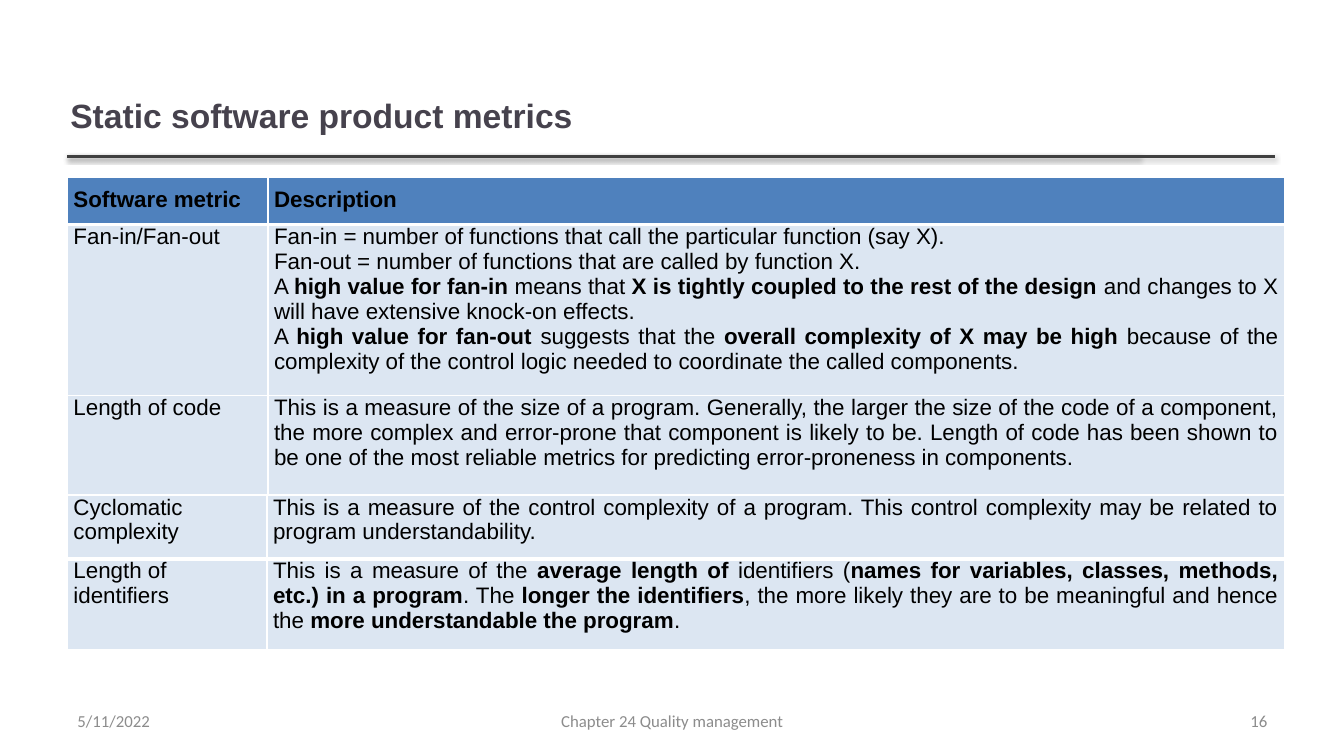
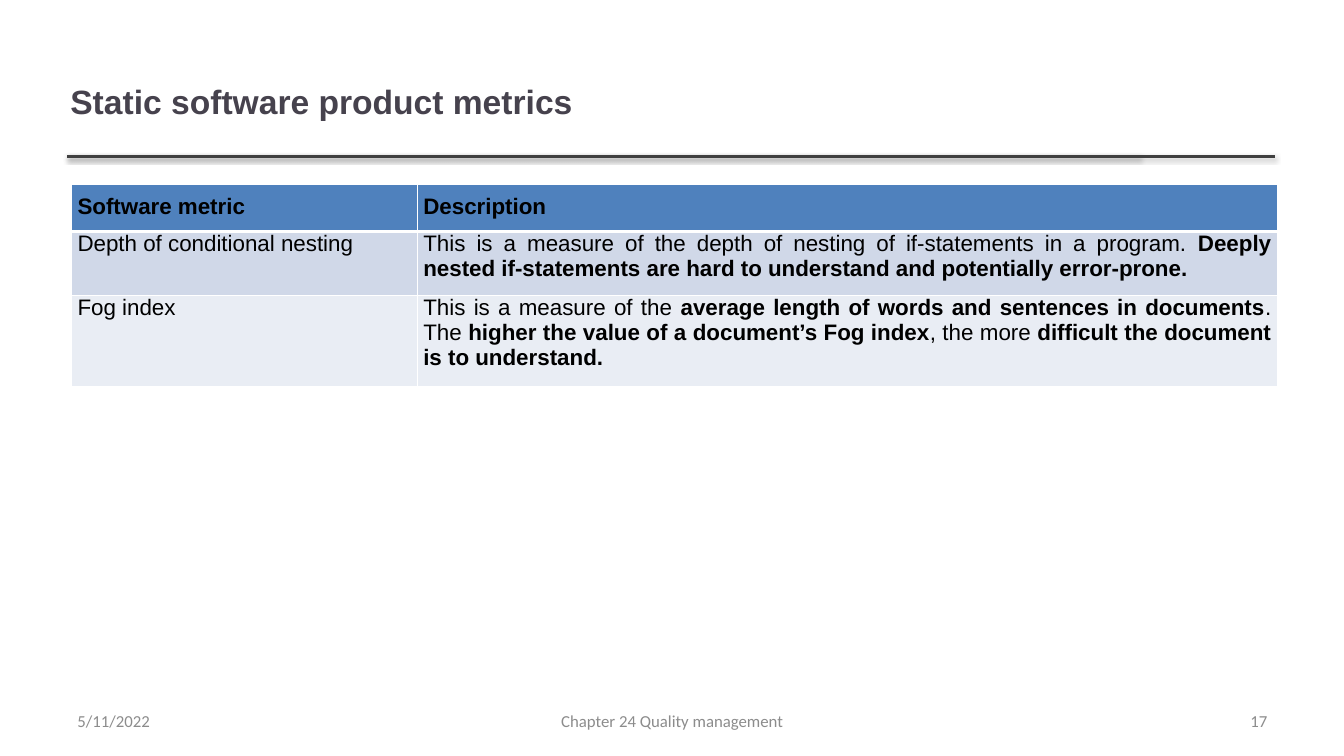
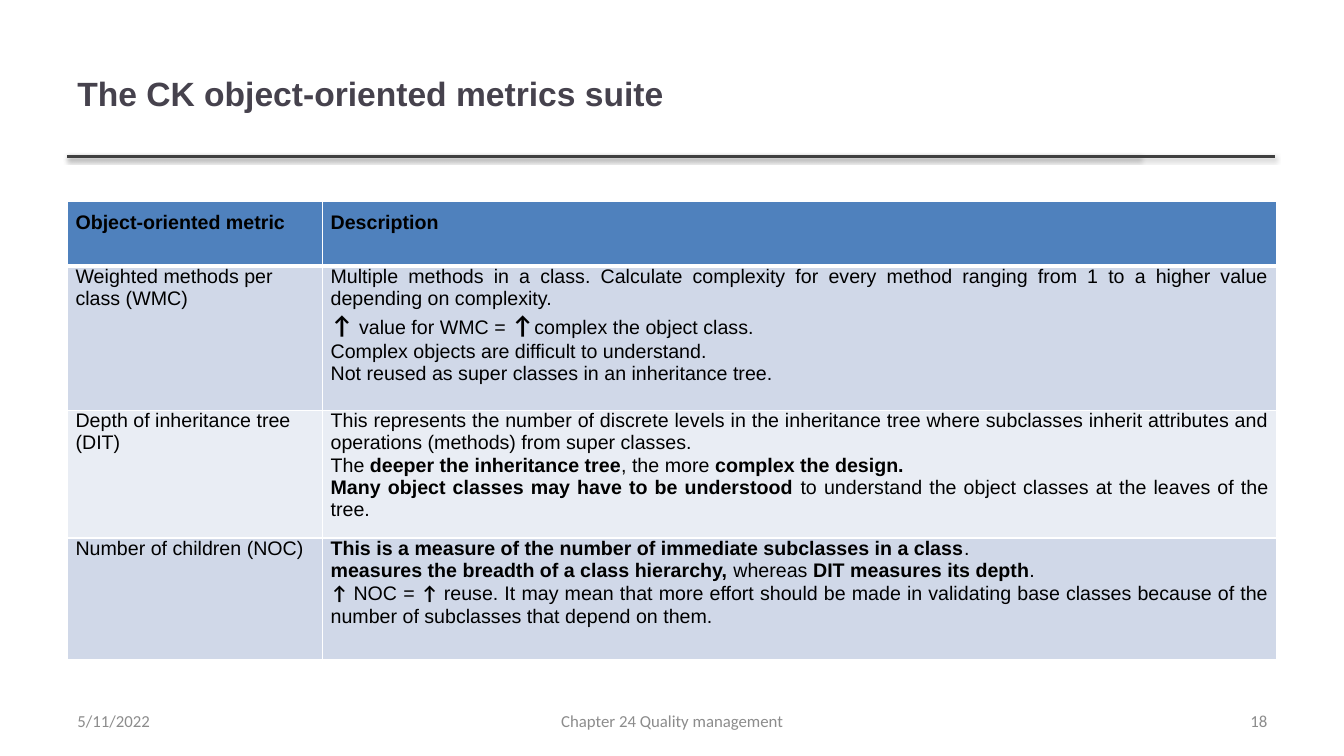
import pptx
import pptx.util
import pptx.dml.color
import pptx.enum.shapes
import pptx.enum.text
import pptx.oxml
import pptx.oxml.ns

Pt = pptx.util.Pt
RGB = pptx.dml.color.RGBColor
ALIGN = pptx.enum.text.PP_ALIGN
MIDDLE = pptx.enum.text.MSO_ANCHOR.MIDDLE

BLACK = RGB(0x00, 0x00, 0x00)
RULE = RGB(0x40, 0x40, 0x40)
PLUM = RGB(0x46, 0x42, 0x4D)
GRAY = RGB(0x8C, 0x8C, 0x8C)
BLUE = RGB(0x4F, 0x81, 0xBD)
PALE = RGB(0xDC, 0xE6, 0xF2)
MIST = RGB(0xD0, 0xD8, 0xE8)
ICE = RGB(0xE9, 0xED, 0xF4)

TITLE = {"size": Pt(24), "name": "Arial", "bold": True}
FOOT = {"size": Pt(12), "name": "Calibri", "bold": False}
NS = pptx.oxml.ns.nsdecls("a")
SHADOW = (
    f'<a:effectLst {NS}><a:outerShdw blurRad="{Pt(3.1)}" dist="{Pt(1.6)}" '
    'dir="5400000" rotWithShape="0"><a:srgbClr val="000000">'
    '<a:alpha val="38000"/></a:srgbClr></a:outerShdw></a:effectLst>'
)

HEAD = ["Software metric", "Description"]
DECK = [
    {
        "title": "Static software product metrics",
        "box": (43.2, 43.2, 570, 77.8),
        "size": 16,
        "pad": 4.3,
        "tables": [
            (48.2, 126.7, (143.3, 725.8), [
                (32, BLUE, *HEAD),
                (114, PALE, "Fan-in/Fan-out",
                 "Fan-in = number of functions that call the particular function (say X). ",
                 "Fan-out = number of functions that are called by function X.",
                 "A *high value for fan-in *means that *X is tightly coupled to the rest "
                 "of the design *and changes to X will have extensive knock-on effects. ",
                 "A *high value for fan-out *suggests that the *overall complexity of X "
                 "may be high *because of the complexity of the control logic needed to "
                 "coordinate the called components."),
                (90, PALE, "Length of code",
                 "This is a measure of the size of a program. Generally, the larger the "
                 "size of the code of a component, the more complex and error-prone that "
                 "component is likely to be. Length of code has been shown to be one of "
                 "the most reliable metrics for predicting error-proneness in components."),
            ]),
            (48.2, 353.5, (142.6, 726.5), [
                (43, PALE, "Cyclomatic complexity",
                 "This is a measure of the control complexity of a program. This control "
                 "complexity may be related to program understandability. "),
                (60.8, PALE, "Length of identifiers",
                 "This is a measure of the *average length of *identifiers (*names for "
                 "variables, classes, methods, etc.) in a program*. The *longer the "
                 "identifiers*, the more likely they are to be meaningful and hence the "
                 "*more understandable the program*."),
            ]),
        ],
    },
    {
        "title": "Static software product metrics",
        "box": (43.2, 30.2, 570, 84.2),
        "size": 16,
        "pad": 4.3,
        "tables": [
            (51.1, 131.8, (247, 614.2), [
                (32, BLUE, *HEAD),
                (43, MIST, "Depth of conditional nesting",
                 "This is a measure of the depth of nesting of if-statements in a program. "
                 "*Deeply nested if-statements are hard to understand and potentially "
                 "error-prone."),
                (60.8, ICE, "Fog index",
                 "This is a measure of the *average length of words and sentences in "
                 "documents*. The *higher the value of a document’s Fog index*, the more "
                 "*difficult the document is to understand."),
            ]),
        ],
    },
    {
        "title": "The CK object-oriented metrics suite",
        "box": (48.2, 21.6, 765.4, 90),
        "size": 14,
        "pad": 5.8,
        "tables": [
            (48.2, 144, (182.2, 681.8), [
                (46, BLUE, "Object-oriented metric", "Description"),
                (103, MIST, "Weighted methods per class (WMC)",
                 "Multiple methods in a class. Calculate complexity for every method "
                 "ranging from 1 to a higher value depending on complexity.",
                 "*↑ *value for WMC = *↑*complex the object class. ",
                 "Complex objects are difficult to understand. ",
                 "Not reused as super classes in an inheritance tree."),
                (87, ICE, "Depth of inheritance tree (DIT)",
                 "This represents the number of discrete levels in the inheritance tree "
                 "where subclasses inherit attributes and operations (methods) from super "
                 "classes. ",
                 "The *deeper the inheritance tree*, the more *complex the design. ",
                 "*Many object classes may have to be understood *to understand the object "
                 "classes at the leaves of the tree. "),
                (87, MIST, "Number of children (NOC)",
                 "*This is a measure of the number of immediate subclasses in a class*.",
                 "*measures the breadth of a class hierarchy, *whereas *DIT measures its "
                 "depth*. ",
                 "*↑ *NOC = *↑ *reuse. It may mean that more effort should be made in "
                 "validating base classes because of the number of subclasses that depend "
                 "on them."),
            ]),
        ],
    },
]


def add_run(para, text, form, color):
    run = para.add_run()
    run.text = text
    for key, val in form.items():
        setattr(run.font, key, val)
    run.font.color.rgb = color


def add_label(slide, box, text, form, color, align):
    frame = slide.shapes.add_textbox(*map(Pt, box)).text_frame
    frame.word_wrap = True
    frame.vertical_anchor = MIDDLE
    frame.paragraphs[0].alignment = align
    add_run(frame.paragraphs[0], text, form, color)


show = pptx.Presentation()
show.slide_width, show.slide_height = Pt(960), Pt(540)

for num, page in enumerate(DECK, 16):
    slide = show.slides.add_slide(show.slide_layouts[6])
    for end in (815, 910.8):
        rule = slide.shapes.add_connector(
            pptx.enum.shapes.MSO_CONNECTOR.STRAIGHT,
            Pt(48.2), Pt(111.6), Pt(end), Pt(111.6))
        rule.line.color.rgb = RULE
        rule.line.width = Pt(2)
        rule._element.spPr.append(pptx.oxml.parse_xml(SHADOW))

    add_label(slide, page["box"], page["title"], TITLE, PLUM, ALIGN.LEFT)
    for left, width, text, align in (
        (328.3, 303.8, "Chapter 24 Quality management", ALIGN.CENTER),
        (688.3, 224, str(num), ALIGN.RIGHT),
        (48.2, 224, "5/11/2022", ALIGN.LEFT),
    ):
        add_label(slide, (left, 500.4, width, 28.8), text, FOOT, GRAY, align)

    for left, top, widths, rows in page["tables"]:
        high = sum(row[0] for row in rows)
        grid = slide.shapes.add_table(
            len(rows), 2, Pt(left), Pt(top), Pt(sum(widths)), Pt(high)).table
        grid.first_row = grid.horz_banding = False
        for col, width in zip(grid.columns, widths):
            col.width = Pt(width)
        for r, (height, fill, name, *lines) in enumerate(rows):
            grid.rows[r].height = Pt(height)
            head = fill == BLUE
            for c, texts in enumerate(([name], lines)):
                cell = grid.cell(r, c)
                pads = {"left": page["pad"], "right": page["pad"],
                        "top": 7.2 if head else 0, "bottom": 7.2}
                for side, pad in pads.items():
                    setattr(cell, "margin_" + side, Pt(pad))
                for side in "LRTB":
                    thick = 3 if side == "B" and r == 0 else 1
                    cell._tc.tcPr.append(pptx.oxml.parse_xml(
                        f'<a:ln{side} {NS} w="{Pt(thick)}"><a:solidFill>'
                        f'<a:srgbClr val="FFFFFF"/></a:solidFill></a:ln{side}>'))
                cell.fill.solid()
                cell.fill.fore_color.rgb = fill
                for i, line in enumerate(texts):
                    frame = cell.text_frame
                    para = frame.add_paragraph() if i else frame.paragraphs[0]
                    para.alignment = ALIGN.JUSTIFY if c or head else ALIGN.LEFT
                    for k, part in enumerate(line.split("*")):
                        if not part:
                            continue
                        arrow = part.startswith("↑")
                        size = 18 if arrow and "WMC" in line else page["size"]
                        form = {"size": Pt(size), "bold": head or k % 2 == 1,
                                "name": "Calibri" if arrow else "Arial"}
                        add_run(para, part, form, BLACK)

show.save("out.pptx")
